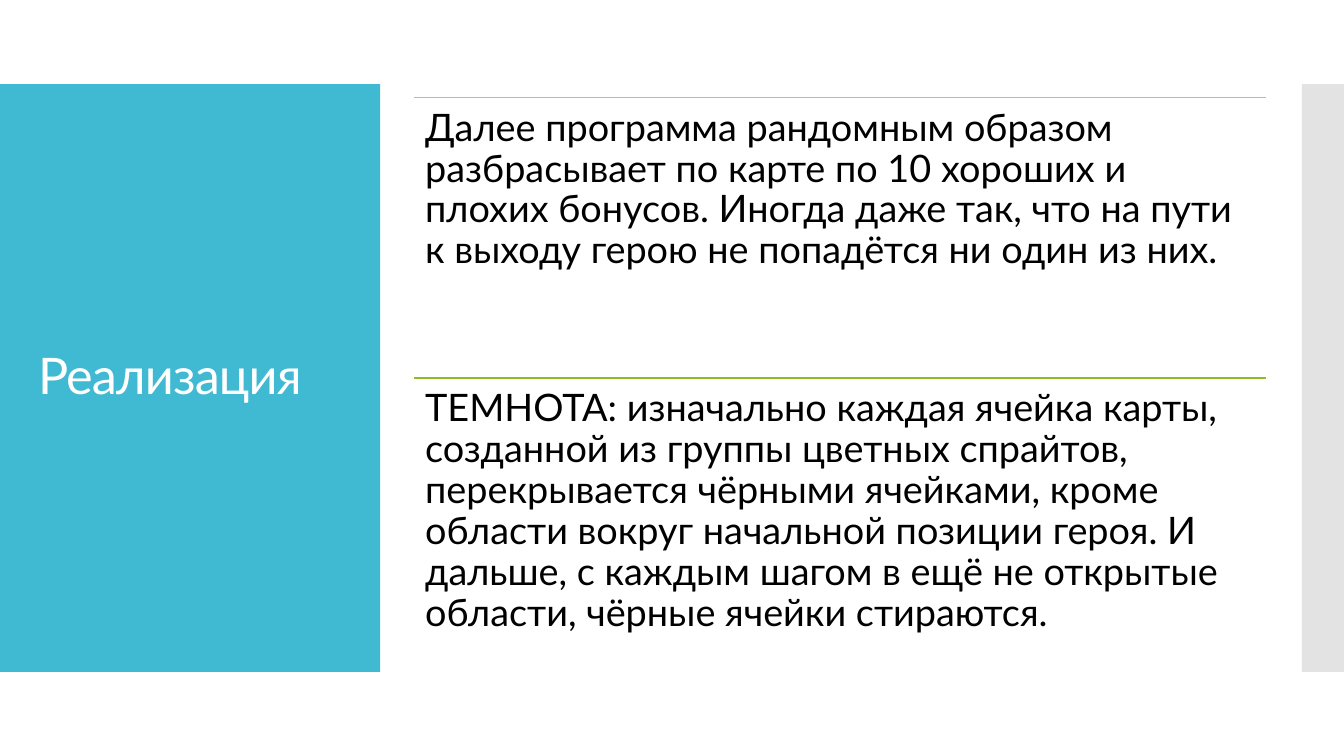
"""Build the "Реализация" slide: a title band beside two ruled paragraphs."""
from lxml.etree import SubElement
from pptx import Presentation
from pptx.dml.color import RGBColor as Rgb
from pptx.enum.shapes import MSO_CONNECTOR as Connector, MSO_SHAPE as Shape
from pptx.enum.text import MSO_ANCHOR as Anchor
from pptx.oxml.ns import qn
from pptx.util import Inches, Pt

THEME = {
    "font": "Lato",
    "band": "40BAD2",
    "edge": "C8C8C8",
    "title": "FFFFFF",
    "body": "000000",
    "rules": ("FAB900", "90BB23"),
    "title_size": 36,
    "body_size": 27,
    "rule_width": 0.85,
}
PASSAGES = (
    "Далее программа рандомным образом разбрасывает по карте по 10 хороших "
    "и плохих бонусов. Иногда даже так, что на пути к выходу герою не "
    "попадётся ни один из них.",
    "ТЕМНОТА: изначально каждая ячейка карты, созданной из группы цветных "
    "спрайтов, перекрывается чёрными ячейками, кроме области вокруг начальной "
    "позиции героя. И дальше, с каждым шагом в ещё не открытые области, "
    "чёрные ячейки стираются.",
)

deck = Presentation()
deck.slide_width, deck.slide_height = Inches(13.33), Inches(7.5)
slide = deck.slides.add_slide(deck.slide_layouts[6])
COLUMN, ROW = deck.slide_width / 32, deck.slide_height / 9


def grid(left, top, width, height):
    """Turn columns and rows into slide lengths."""
    return [round(share * unit) for share, unit in
            zip((left, top, width, height), (COLUMN, ROW, COLUMN, ROW))]


def write(area, words, size, color, **frame_format):
    """Place one paragraph of text and return its run."""
    frame = slide.shapes.add_textbox(*grid(*area)).text_frame
    for name, value in {"word_wrap": True, **frame_format}.items():
        setattr(frame, name, value)
    paragraph = frame.paragraphs[0]
    paragraph.line_spacing = 0.9
    run = paragraph.add_run()
    run.text = words
    for name, value in {"name": THEME["font"], "size": Pt(size)}.items():
        setattr(run.font, name, value)
    run.font.color.rgb = Rgb.from_string(color)
    return run


for left, width, color, opacity in ((0, 9.05, THEME["band"], 100),
                                    (31, 1, THEME["edge"], 50)):
    panel = slide.shapes.add_shape(Shape.RECTANGLE, *grid(left, 1, width, 7))
    panel.shadow.inherit = False
    panel.line.fill.background()
    panel.fill.solid()
    panel.fill.fore_color.rgb = Rgb.from_string(color)
    if opacity < 100:
        tint = panel.element.spPr.find(".//" + qn("a:srgbClr"))
        SubElement(tint, qn("a:alpha"), val=str(opacity * 1000))

heading = write((0.67, 1.48, 7.73, 6.04), "Реализация", THEME["title_size"],
                THEME["title"], vertical_anchor=Anchor.MIDDLE)
heading.font._element.set("spc", "-60")

body_left, body_width, body_top, passage_height = 9.86, 20.28, 1.16, 3.34
margins = dict.fromkeys(
    ("margin_left", "margin_top", "margin_right", "margin_bottom"), Inches(0.11))
for order, (passage, rule_color) in enumerate(zip(PASSAGES, THEME["rules"])):
    top = body_top + order * passage_height
    start_x, rule_y, end_x, _ = grid(body_left, top, body_left + body_width, 0)
    rule = slide.shapes.add_connector(Connector.STRAIGHT, start_x, rule_y, end_x, rule_y)
    rule.line.color.rgb = Rgb.from_string(rule_color)
    rule.line.width = Pt(THEME["rule_width"])
    SubElement(rule.element.spPr, qn("a:effectLst"))
    write((body_left, top, body_width, passage_height), passage,
          THEME["body_size"], THEME["body"], **margins)

deck.save("out.pptx")
